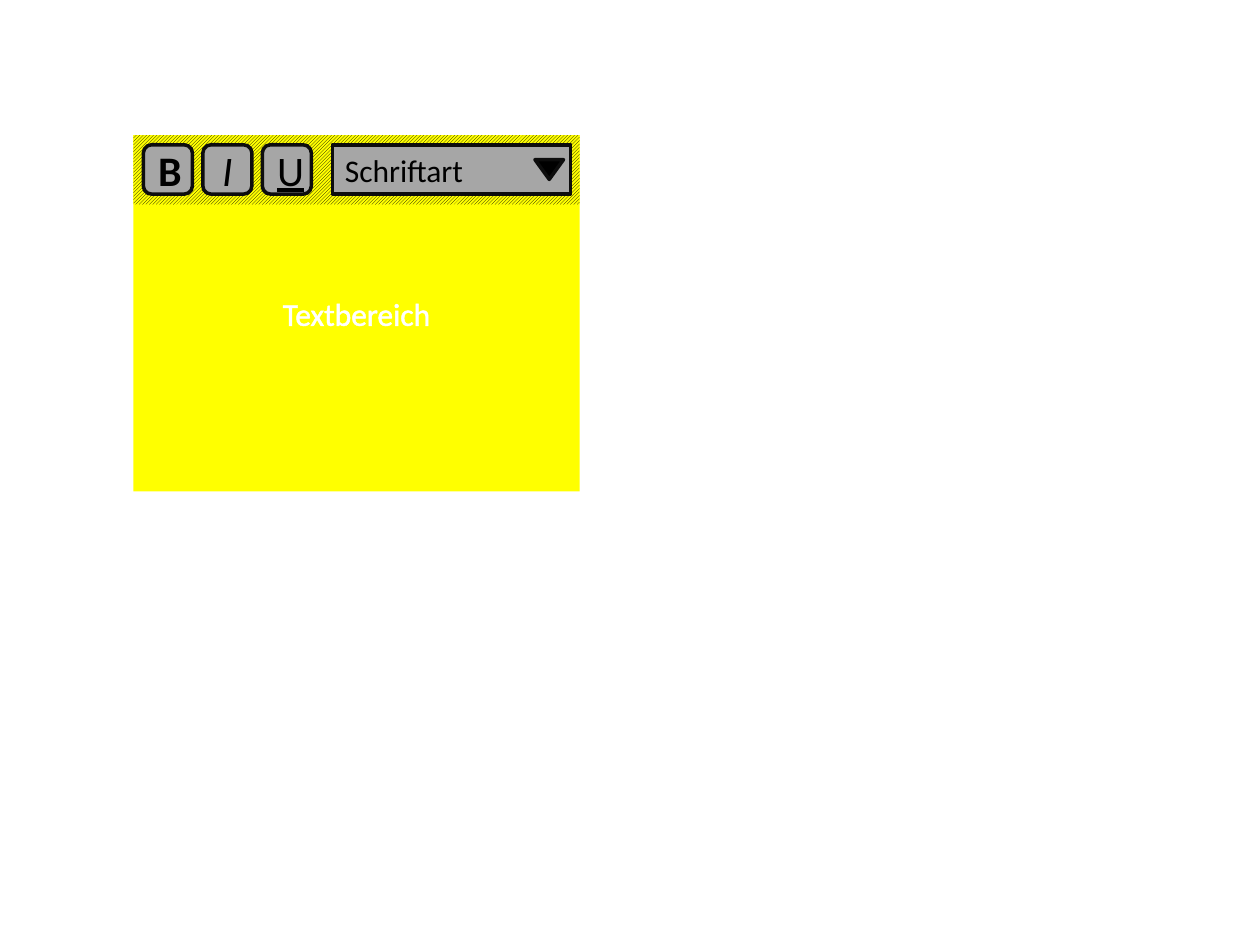
from dataclasses import dataclass

from lxml.etree import SubElement
from pptx import Presentation
from pptx.dml.color import RGBColor
from pptx.enum.dml import MSO_PATTERN as Pattern
from pptx.enum.shapes import MSO_SHAPE as Preset
from pptx.enum.text import MSO_ANCHOR as Anchor, PP_ALIGN as Align
from pptx.oxml.ns import qn
from pptx.shapes.autoshape import Shape
from pptx.slide import Slide
from pptx.text.text import _Paragraph as Paragraph
from pptx.util import Inches, Pt

SLIDE_WIDTH, SLIDE_HEIGHT = 10, 7.5


@dataclass(frozen=True)
class Theme:
    font: str = "Calibri"
    paper: str = "FFFF00"
    control: str = "A6A6A6"
    edge: str = "0D0D0D"
    ink: str = "000000"
    light: str = "FFFFFF"
    body_size: float = 18
    button_size: float = 24
    edge_width: float = 2
    outline_width: float = 1.45


@dataclass(frozen=True)
class Box:
    left: float
    top: float
    width: float
    height: float

    def share(self, x: float, y: float, width: float, height: float) -> "Box":
        return Box(self.left + x * self.width, self.top + y * self.height,
                   width * self.width, height * self.height)


@dataclass(frozen=True)
class FormatButton:
    letter: str
    bold: bool = False
    italic: bool = False
    underline: bool = False


THEME = Theme()
BUTTONS = (
    FormatButton("B", bold=True),
    FormatButton("I", italic=True),
    FormatButton("U", underline=True),
)


def colour(code: str) -> RGBColor:
    return RGBColor.from_string(code)


def draw_shape(slide: Slide, preset: Preset, box: Box, fill: str,
               edged: bool = True) -> Shape:
    shape = slide.shapes.add_shape(
        preset, Inches(box.left), Inches(box.top), Inches(box.width), Inches(box.height))
    shape.shadow.inherit = False
    shape.fill.solid()
    shape.fill.fore_color.rgb = colour(fill)
    if edged:
        shape.line.color.rgb = colour(THEME.edge)
        shape.line.width = Pt(THEME.edge_width)
    else:
        shape.line.fill.background()
    return shape


def write(shape: Shape, words: str, size: float, ink: str,
          align: Align = Align.CENTER) -> Paragraph:
    frame = shape.text_frame
    frame.word_wrap = True
    frame.vertical_anchor = Anchor.MIDDLE
    paragraph = frame.paragraphs[0]
    paragraph.text = words
    paragraph.alignment = align
    paragraph.font.name = THEME.font
    paragraph.font.size = Pt(size)
    paragraph.font.color.rgb = colour(ink)
    return paragraph


def outline_text(paragraph: Paragraph, ink: str, width: float) -> None:
    properties = paragraph.runs[0]._r.get_or_add_rPr()
    line = SubElement(properties, qn("a:ln"), w=str(Pt(width)))
    solid = SubElement(line, qn("a:solidFill"))
    SubElement(solid, qn("a:srgbClr"), val=ink)


def draw_button(slide: Slide, box: Box, button: FormatButton) -> None:
    key = draw_shape(slide, Preset.ROUNDED_RECTANGLE, box, THEME.control)
    label = write(key, button.letter, THEME.button_size, THEME.ink)
    label.font.bold = button.bold
    label.font.italic = button.italic
    label.font.underline = button.underline


def draw_font_menu(slide: Slide, box: Box) -> None:
    menu = draw_shape(slide, Preset.RECTANGLE, box, THEME.control)
    write(menu, "Schriftart", THEME.body_size, THEME.ink, Align.LEFT)
    arrow = draw_shape(slide, Preset.ISOSCELES_TRIANGLE,
                       box.share(0.85, 0.3, 0.12, 0.4), THEME.ink)
    arrow.rotation = 180


def draw_editor(slide: Slide, window: Box) -> None:
    text_area = draw_shape(slide, Preset.RECTANGLE, window, THEME.paper, edged=False)
    caption = write(text_area, "Textbereich", THEME.body_size, THEME.light)
    outline_text(caption, THEME.light, THEME.outline_width)

    toolbar = window.share(0, 0, 1, 0.195)
    strip = draw_shape(slide, Preset.RECTANGLE, toolbar, THEME.paper, edged=False)
    strip.fill.patterned()
    strip.fill.pattern = Pattern.DARK_UPWARD_DIAGONAL
    strip.fill.fore_color.rgb = colour(THEME.ink)
    strip.fill.back_color.rgb = colour(THEME.paper)

    columns, row, row_height = 7.5, 0.14, 0.71
    for column, button in enumerate(BUTTONS):
        draw_button(slide, toolbar.share(0.022 + column / columns, row, 0.11, row_height), button)
    draw_font_menu(slide, toolbar.share(0.446, row, 0.534, row_height))


def main() -> None:
    deck = Presentation()
    deck.slide_width, deck.slide_height = Inches(SLIDE_WIDTH), Inches(SLIDE_HEIGHT)
    slide = deck.slides.add_slide(deck.slide_layouts[6])
    page = Box(0, 0, SLIDE_WIDTH, SLIDE_HEIGHT)
    draw_editor(slide, page.share(0.106, 0.143, 0.354, 0.377))
    deck.save("out.pptx")


if __name__ == "__main__":
    main()
